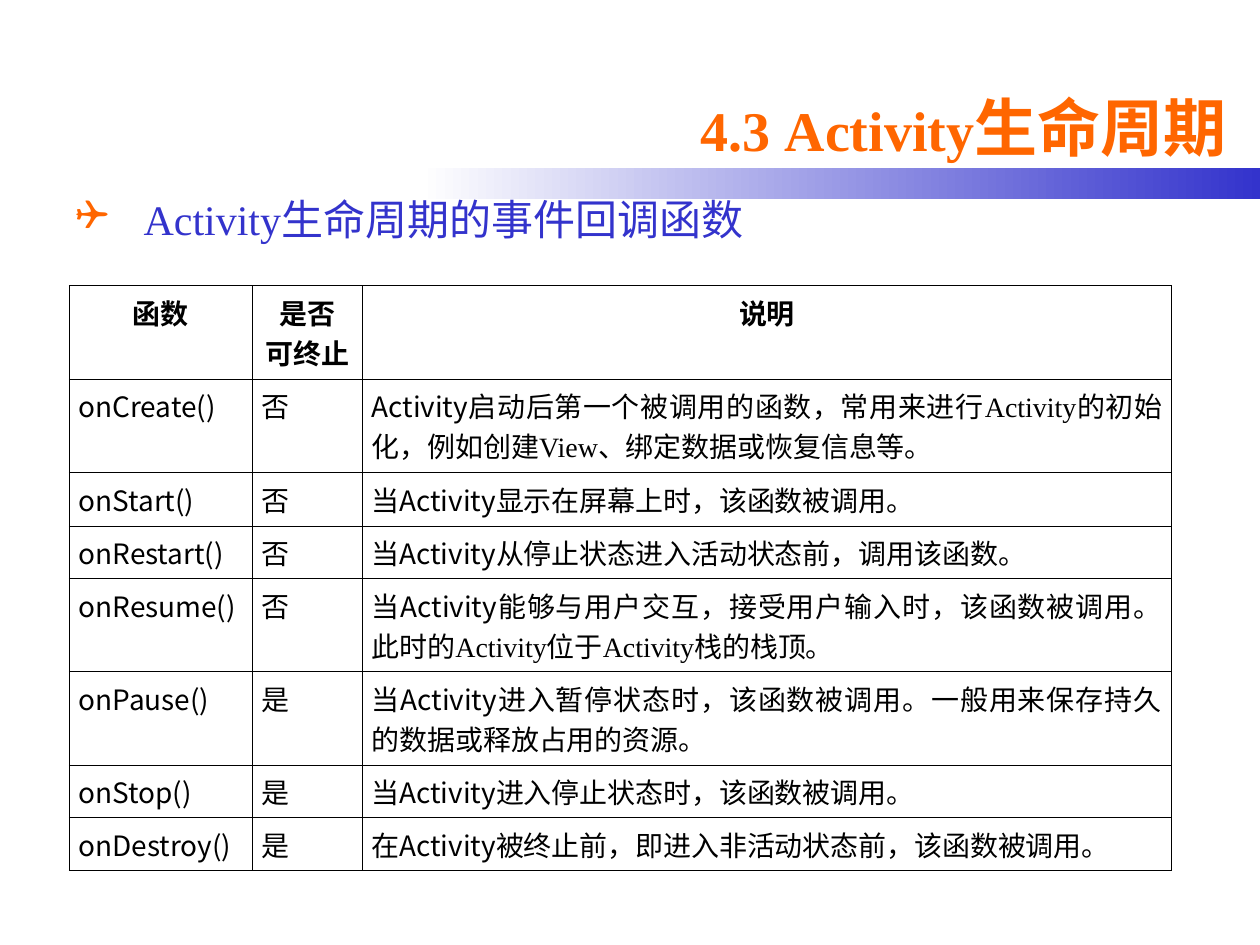
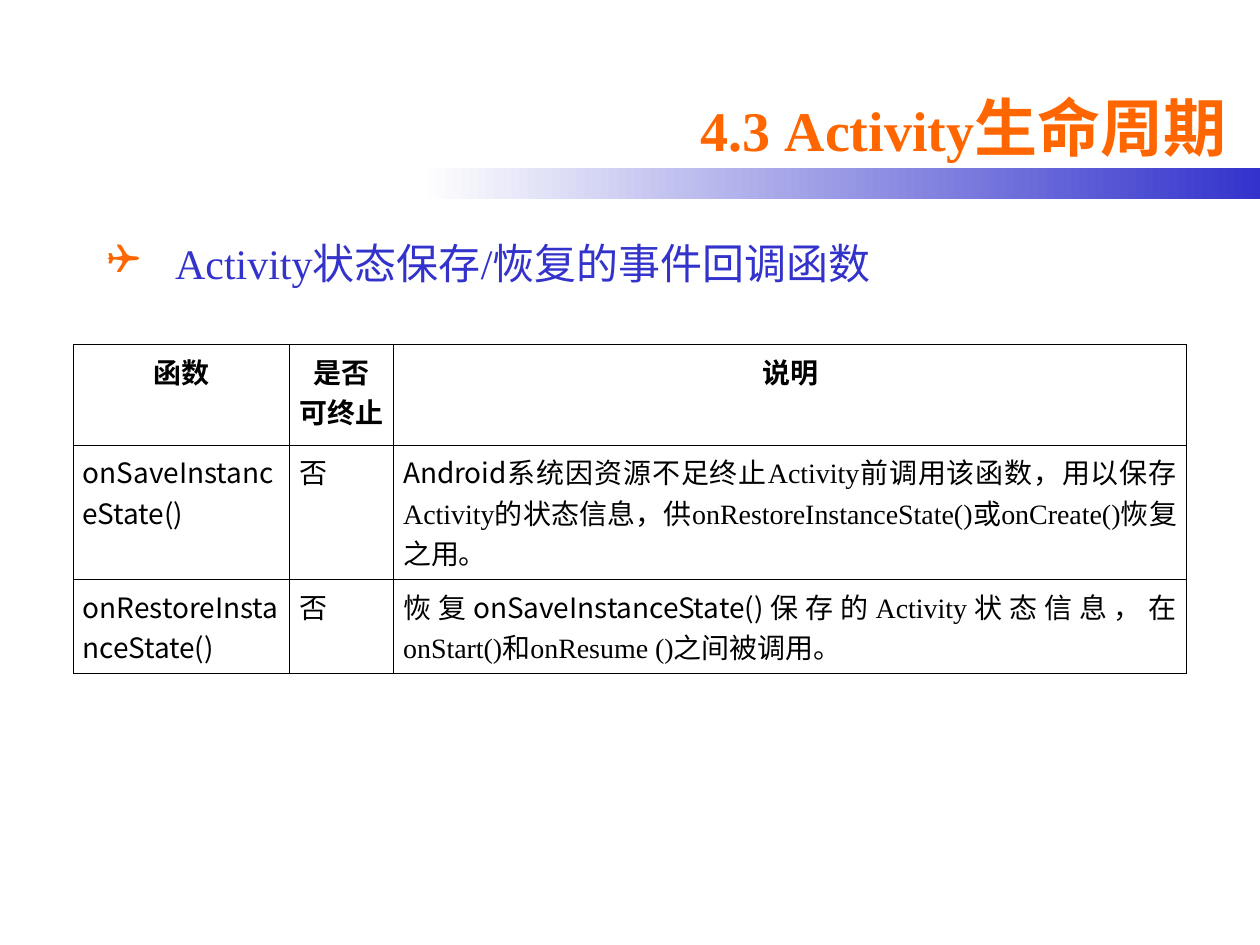
from pptx import Presentation
from pptx.dml.color import RGBColor
from pptx.enum.shapes import MSO_SHAPE
from pptx.enum.text import MSO_ANCHOR, PP_ALIGN
from pptx.oxml.ns import qn
from pptx.util import Pt
from lxml.etree import SubElement

SERIF, SANS = "Times New Roman", "Noto Sans CJK SC"
ORANGE, BLUE, BLACK, WHITE = "FF6600", "3333CC", "000000", "FFFFFF"
BORDER = 5715
HEADINGS = ["函数", "是否\n可终止", "说明"]


def px(count):
    return count * 7620


def write(frame, text, size, color, sans_size=None, bold=False, align=PP_ALIGN.LEFT, bullet=None):
    frame.word_wrap = True
    para = frame.paragraphs[0]
    para.alignment = align
    if bullet:
        props = para._p.get_or_add_pPr()
        props.set("marL", str(px(65)))
        props.set("indent", str(px(-65)))
        tint = SubElement(props, qn("a:buClr"))
        SubElement(tint, qn("a:srgbClr")).set("val", ORANGE)
        SubElement(props, qn("a:buFont"), typeface="Wingdings", charset="2")
        SubElement(props, qn("a:buChar")).set("char", bullet)
    for index, piece in enumerate(text.split("|")):
        sans = index % 2 == 1
        for number, line in enumerate(piece.split("\n")):
            if number:
                para.add_line_break()
            if line:
                span = para.add_run()
                span.text = line
                span.font.name = SANS if sans else SERIF
                span.font.size = Pt(sans_size if sans and sans_size else size)
                span.font.bold = bold
                span.font.color.rgb = RGBColor.from_string(color)
                SubElement(span._r.get_or_add_rPr(), qn("a:ea")).set("typeface", SANS)


pages = [
    {
        "topic": "Activity生命周期的事件回调函数",
        "topic_box": (60, 178, 1080, 632),
        "table_at": (66, 272),
        "columns": [174, 105, 771],
        "heights": [89, 89, 51, 50, 89, 89, 50, 50],
        "callbacks": [
            ("onCreate()", "否", "|Activity|启动后第一个被调用的函数，常用来进行Activity的初始化，例如创建View、绑定数据或恢复信息等。"),
            ("onStart()", "否", "当|Activity|显示在屏幕上时，该函数被调用。"),
            ("onRestart()", "否", "当|Activity|从停止状态进入活动状态前，调用该函数。"),
            ("onResume()", "否", "当|Activity|能够与用户交互，接受用户输入时，该函数被调用。此时的Activity位于Activity栈的栈顶。"),
            ("onPause()", "是", "当|Activity|进入暂停状态时，该函数被调用。一般用来保存持久的数据或释放占用的资源。"),
            ("onStop()", "是", "当|Activity|进入停止状态时，该函数被调用。"),
            ("onDestroy()", "是", "在|Activity|被终止前，即进入非活动状态前，该函数被调用。"),
        ],
    },
    {
        "topic": "Activity状态保存/恢复的事件回调函数",
        "topic_box": (90, 220, 1020, 580),
        "table_at": (70, 328),
        "columns": [206, 99, 755],
        "heights": [96, 128, 89],
        "callbacks": [
            ("onSaveInstanceState()", "否", "|Android|系统因资源不足终止Activity前调用该函数，用以保存Activity的状态信息，供onRestoreInstanceState()或onCreate()恢复之用。"),
            ("onRestoreInstanceState()", "否", "恢复|onSaveInstanceState()|保存的Activity状态信息，在onStart()和onResume ()之间被调用。"),
        ],
    },
]

deck = Presentation()
deck.slide_width, deck.slide_height = px(1200), px(900)

for content in pages:
    page = deck.slides.add_slide(deck.slide_layouts[6])

    band = page.shapes.add_shape(MSO_SHAPE.RECTANGLE, px(400), px(160), px(800), px(30))
    band.shadow.inherit = False
    band.line.fill.background()
    band.fill.gradient()
    band.fill.gradient_angle = 0
    for stop, position, color in zip(band.fill.gradient_stops, (0, 1), (WHITE, BLUE)):
        stop.position = position
        stop.color.rgb = RGBColor.from_string(color)

    title = page.shapes.add_textbox(px(170), px(60), px(1010), px(120)).text_frame
    title.vertical_anchor = MSO_ANCHOR.MIDDLE
    write(title, "4.3| |Activity|生命周期", 32, ORANGE, sans_size=36, bold=True, align=PP_ALIGN.RIGHT)

    topic = page.shapes.add_textbox(*map(px, content["topic_box"])).text_frame
    write(topic, content["topic"], 24, BLUE, bullet="❑")

    columns, heights = content["columns"], content["heights"]
    left, top = content["table_at"]
    table = page.shapes.add_table(len(heights), len(columns), px(left), px(top),
                                  px(sum(columns)), px(sum(heights))).table
    table.first_row = table.horz_banding = False
    for column, width in zip(table.columns, columns):
        column.width = px(width)
    for row, height in zip(table.rows, heights):
        row.height = px(height)

    names = [(f"|{name}", ends, about) for name, ends, about in content["callbacks"]]
    for row_index, texts in enumerate([HEADINGS] + names):
        heading = row_index == 0
        for column_index, text in enumerate(texts):
            cell = table.cell(row_index, column_index)
            cell.margin_left = cell.margin_right = px(9)
            cell.margin_top = cell.margin_bottom = px(6)
            for side in ("a:lnL", "a:lnR", "a:lnT", "a:lnB"):
                edge = SubElement(cell._tc.get_or_add_tcPr(), qn(side), w=str(BORDER))
                paint = SubElement(edge, qn("a:solidFill"))
                SubElement(paint, qn("a:srgbClr")).set("val", BLACK)
            cell.fill.background()
            write(cell.text_frame, text, 16, BLACK, bold=heading,
                  align=PP_ALIGN.CENTER if heading else PP_ALIGN.JUSTIFY)

deck.save("out.pptx")
